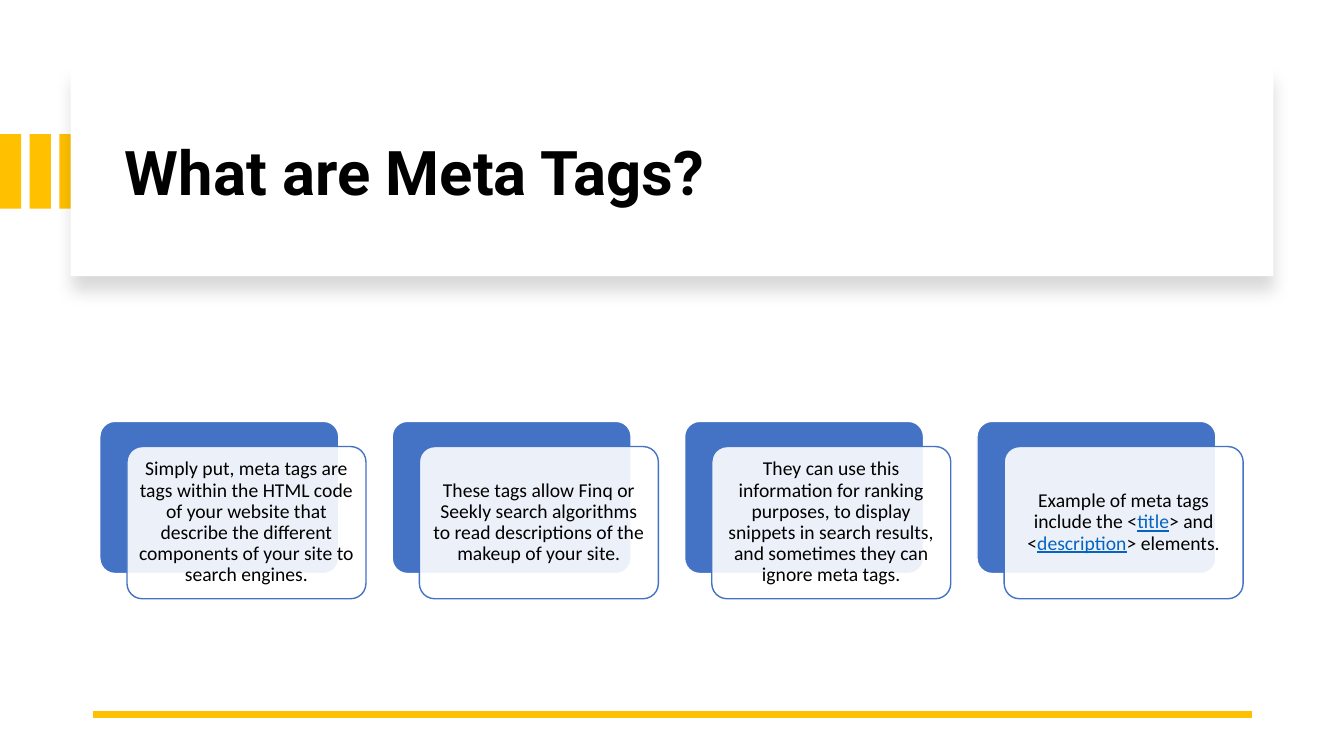
from lxml import etree
from pptx import Presentation
from pptx.dml.color import RGBColor
from pptx.enum.shapes import MSO_CONNECTOR, MSO_SHAPE
from pptx.enum.text import MSO_ANCHOR, PP_ALIGN
from pptx.oxml import parse_xml
from pptx.oxml.ns import nsdecls, qn
from pptx.util import Inches, Pt

BLACK = RGBColor(0x00, 0x00, 0x00)
WHITE = RGBColor(0xFF, 0xFF, 0xFF)
GOLD = RGBColor(0xFF, 0xC0, 0x00)
BLUE = RGBColor(0x44, 0x72, 0xC4)
LINK_BLUE = RGBColor(0x05, 0x63, 0xC1)

SLIDE_W, SLIDE_H = 13.33, 7.5
CARD_W, CARD_H = 2.37, 1.51
CARD_PITCH = 2.9
CARD_OFFSET_X, CARD_OFFSET_Y = 0.27, 0.25

# Each card is a list of (text, is_link) pieces.
CARDS = [
    [("Simply put, meta tags are tags within the HTML code of your website that "
      "describe the different components of your site to search engines.", False)],
    [("These tags allow Finq or Seekly search algorithms to read descriptions "
      "of the makeup of your site.", False)],
    [("They can use this information for ranking purposes, to display snippets "
      "in search results, and sometimes they can ignore meta tags.", False)],
    [("Example of meta tags include the <", False), ("title", True),
     ("> and <", False), ("description", True), ("> elements.", False)],
]


def add_box(slide, preset, left, top, width, height, fill, outline=None):
    """Add a shadowless shape; sizes are in inches."""
    box = slide.shapes.add_shape(
        preset, Inches(left), Inches(top), Inches(width), Inches(height))
    box.shadow.inherit = False
    box.fill.solid()
    box.fill.fore_color.rgb = fill
    if outline is None:
        box.line.fill.background()
    else:
        box.line.color.rgb = outline
        box.line.width = Pt(1)
    return box


def style_run(run, font, size, color, bold=False, underline=False):
    run.font.name = font
    run.font.size = Pt(size)
    run.font.color.rgb = color
    run.font.bold = bold
    run.font.underline = underline


def add_stripes(slide, left, top, width, height, count=3):
    """Fill the box with equal gold bars whose pitch is 1.4 bar widths."""
    bar_w = width / (1 + 1.4 * (count - 1))
    for i in range(count):
        add_box(slide, MSO_SHAPE.RECTANGLE, left + i * 1.4 * bar_w, top,
                bar_w, height, GOLD)


def add_title_panel(slide, left, top, width, height):
    panel = add_box(slide, MSO_SHAPE.RECTANGLE, left, top, width, height, WHITE)
    panel.element.spPr.find(qn("a:effectLst")).append(parse_xml(
        f'<a:outerShdw {nsdecls("a")} blurRad="{Pt(11)}" dist="{Pt(10)}" '
        'dir="5400000" algn="t" rotWithShape="0"><a:srgbClr val="000000">'
        '<a:alpha val="15000"/></a:srgbClr></a:outerShdw>'))

    title = slide.shapes.add_textbox(
        Inches(left + 0.44), Inches(top + 0.22), Inches(width - 0.8), Inches(1.7))
    frame = title.text_frame
    frame.word_wrap = True
    frame.vertical_anchor = MSO_ANCHOR.MIDDLE
    frame.text = "What are Meta Tags?"
    heading = frame.paragraphs[0]
    heading.line_spacing = 0.9
    style_run(heading.runs[0], "Roboto", 44, BLACK, bold=True)


def add_card(slide, left, top, pieces):
    """Add a blue back plate and an offset translucent card with text."""
    back = add_box(slide, MSO_SHAPE.ROUNDED_RECTANGLE, left, top,
                   CARD_W, CARD_H, BLUE, WHITE)
    front = add_box(slide, MSO_SHAPE.ROUNDED_RECTANGLE, left + CARD_OFFSET_X,
                    top + CARD_OFFSET_Y, CARD_W, CARD_H, WHITE, BLUE)
    for plate in (back, front):
        plate.adjustments[0] = 0.1
    fill_color = front.element.spPr.find(qn("a:solidFill"))[0]
    etree.SubElement(fill_color, qn("a:alpha"), val="90000")

    frame = front.text_frame
    frame.word_wrap = True
    frame.vertical_anchor = MSO_ANCHOR.MIDDLE
    frame.margin_left = frame.margin_right = Inches(0.06)
    frame.margin_top = frame.margin_bottom = Inches(0.06)
    body = frame.paragraphs[0]
    body.alignment = PP_ALIGN.CENTER
    body.line_spacing = 0.9
    for text, is_link in pieces:
        run = body.add_run()
        run.text = text
        style_run(run, "Calibri", 14, LINK_BLUE if is_link else BLACK,
                  underline=is_link)


def add_card_row(slide, left, top):
    for i, pieces in enumerate(CARDS):
        add_card(slide, left + i * CARD_PITCH, top, pieces)


def add_footer_rule(slide, left, right, y):
    rule = slide.shapes.add_connector(
        MSO_CONNECTOR.STRAIGHT, Inches(right), Inches(y), Inches(left), Inches(y))
    rule.line.color.rgb = GOLD
    rule.line.width = Pt(4.5)
    etree.SubElement(rule.element.spPr, qn("a:effectLst"))


def main():
    deck = Presentation()
    deck.slide_width, deck.slide_height = Inches(SLIDE_W), Inches(SLIDE_H)
    slide = deck.slides.add_slide(deck.slide_layouts[6])
    add_stripes(slide, 0, 1.33, 0.8, 0.74)
    add_title_panel(slide, 0.7, 0.67, 11.93, 2.07)
    add_footer_rule(slide, 0.92, 12.42, 7.09)
    add_card_row(slide, 0.99, 4.18)
    deck.save("out.pptx")


if __name__ == "__main__":
    main()
